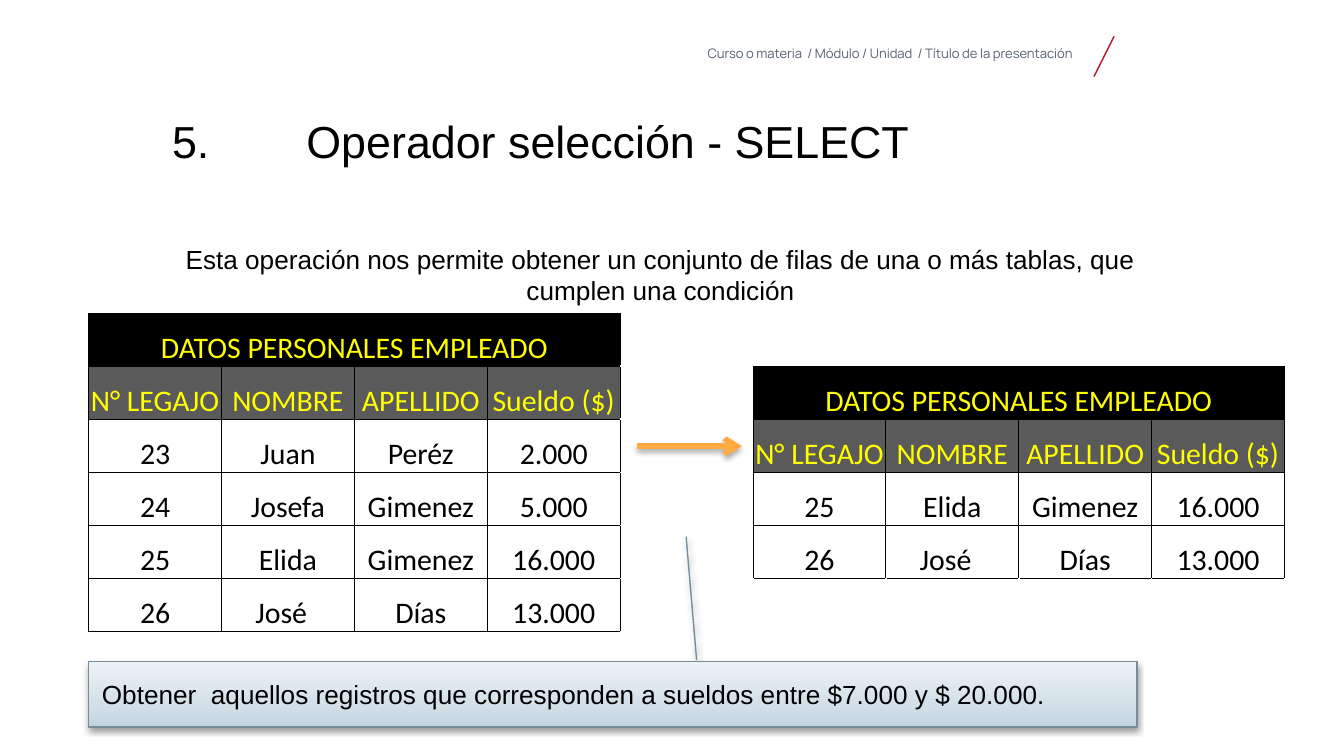
import pptx
import pptx.util
import pptx.dml.color
import pptx.oxml.ns
import pptx.enum.shapes
import pptx.enum.text
import lxml.etree

qn = pptx.oxml.ns.qn
sub = lxml.etree.SubElement
Pt = pptx.util.Pt
ALIGN = pptx.enum.text.PP_ALIGN
ANCHOR = pptx.enum.text.MSO_ANCHOR
LINE = pptx.enum.shapes.MSO_CONNECTOR.STRAIGHT


def rgb(value):
    return pptx.dml.color.RGBColor.from_string(value)


def write(tf, text, size=14, font="Arial", color="000000", align=ALIGN.LEFT, spacing=1.0,
          tab=None):
    p = tf.paragraphs[0]
    p.alignment = align
    p.line_spacing = spacing
    if tab:
        tabs = sub(p._p.get_or_add_pPr(), qn("a:tabLst"))
        sub(tabs, qn("a:tab"), pos=str(tab), algn="l")
    r = p.add_run()
    r.text = text
    r.font.size = Pt(size)
    r.font.name = font
    r.font.color.rgb = rgb(color)


prs = pptx.Presentation()
prs.slide_width = pptx.util.Inches(10)
prs.slide_height = prs.slide_width * 9 // 16
s = prs.slides.add_slide(prs.slide_layouts[6])

# Fine square grid: 1000 columns across the slide
col = row = prs.slide_width // 1000

# Header, title and introduction
texts = [
    ((495, 35, 305, 14), "Curso o materia  / Módulo / Unidad  / Título de la presentación ",
     dict(size=7, font="Manrope", color="556271", align=ALIGN.RIGHT, spacing=0.9)),
    ((128, 89, 722, 83), "5.\tOperador selección - SELECT",
     dict(size=24, spacing=0.9, tab=100 * col)),
    ((128, 181, 727, 355), "Esta operación nos permite obtener un conjunto de filas de una "
     "o más tablas, que cumplen una condición", dict(align=ALIGN.CENTER)),
]
for (x, y, w, h), text, style in texts:
    tf = s.shapes.add_textbox(x * col, y * row, w * col, h * row).text_frame
    tf.word_wrap = True
    tf.margin_left = tf.margin_right = tf.margin_top = tf.margin_bottom = 0
    write(tf, text, **style)

# Source table on the left and selected rows on the right, in one grid
heading = ["DATOS PERSONALES EMPLEADO", "", "", ""]
fields = ["N° LEGAJO", "NOMBRE", "APELLIDO", "Sueldo ($)"]
employees = [
    ["23", "Juan", "Peréz", "2.000"],
    ["24", "Josefa", "Gimenez", "5.000"],
    ["25", "Elida", "Gimenez", "16.000"],
    ["26", "José  ", "Días", "13.000"],
]
blocks = [(0, 0, [heading, fields] + employees),
          (1, 5, [heading, fields] + employees[2:])]
frame = s.shapes.add_table(6, 9, 66 * col, 233 * row, 890 * col, 237 * row)
table = frame.table
table.first_row = table.horz_banding = False
for c in table.columns:
    c.width = 890 * col // 9
for r in table.rows:
    r.height = 237 * row // 6

# Text and fill colour of every filled position
content = {}
for top, left, lines in blocks:
    table.cell(top, left).merge(table.cell(top, left + 3))
    for i, values in enumerate(lines):
        fill = ["000000", "5A5A5A"][i] if i < 2 else "FFFFFF"
        for j, value in enumerate(values):
            content[top + i, left + j] = value, fill

sides = {"L": (0, -1), "R": (0, 1), "T": (-1, 0), "B": (1, 0)}
for i in range(6):
    for j in range(9):
        cell = table.cell(i, j)
        value, fill = content.get((i, j), ("", "FFFFFF"))
        cell.vertical_anchor = ANCHOR.BOTTOM
        cell.margin_left = cell.margin_right = cell.margin_top = col
        cell.margin_bottom = 0
        if value:
            write(cell.text_frame, value, size=16, font="Calibri", align=ALIGN.CENTER,
                  color="000000" if fill == "FFFFFF" else "FFFF00")
        # An edge is ruled when a filled position lies on either side of it
        for side, (di, dj) in sides.items():
            if (i, j) in content or (i + di, j + dj) in content:
                ln = sub(cell._tc.get_or_add_tcPr(), qn("a:ln" + side), w=str(Pt(0.5)))
                sub(sub(ln, qn("a:solidFill")), qn("a:srgbClr"), val="000000")
        cell.fill.solid()
        cell.fill.fore_color.rgb = rgb(fill)

# Header slash and arrow between the tables
connectors = []
for x1, y1, x2, y2, color, width in [(829, 27, 814, 57, "BC182C", 0.75),
                                     (474, 332, 552, 332, "FFAB40", 3)]:
    sp = s.shapes.add_connector(LINE, x1 * col, y1 * row, x2 * col, y2 * row)
    sp.line.color.rgb = rgb(color)
    sp.line.width = Pt(width)
    connectors.append(sp)
slash, arrow = connectors
sub(arrow.line._get_or_add_ln(), qn("a:tailEnd"), type="arrow")
sub(slash._element.spPr, qn("a:effectLst"))

# Callout with the selection condition
callout = s.shapes.add_shape(pptx.enum.shapes.MSO_SHAPE.LINE_CALLOUT_1,
                             66 * col, 492 * row, 780 * col, 49 * row)
for i, value in enumerate([-0.02, 0.58, -1.89, 0.57]):
    callout.adjustments[i] = value
callout.fill.gradient()
callout.fill.gradient_angle = 90
stops = callout.fill._fill._gradFill.find(qn("a:gsLst"))
for stop in list(stops):
    stops.remove(stop)
for pos, color in [(0, "C0D4E0"), (35, "D3E0E8"), (100, "EEF3F7")]:
    sub(sub(stops, qn("a:gs"), pos=str(pos * 1000)), qn("a:srgbClr"), val=color)
callout.line.color.rgb = rgb("748D99")
callout.line.width = Pt(0.75)
callout.text_frame.word_wrap = True
callout.text_frame.vertical_anchor = ANCHOR.MIDDLE
write(callout.text_frame,
      "Obtener  aquellos registros que corresponden a sueldos entre $7.000 y $ 20.000.")

# Soft shadows straight below the arrow and the callout
for sp, alpha, dist in [(arrow, 35, 1.8), (callout, 38, 1.6)]:
    effects = sub(sp._element.spPr, qn("a:effectLst"))
    shadow = sub(effects, qn("a:outerShdw"), blurRad=str(Pt(3.1)), dist=str(Pt(dist)),
                 dir=str(90 * 60000), rotWithShape="0")
    sub(sub(shadow, qn("a:srgbClr"), val="000000"), qn("a:alpha"), val=str(alpha * 1000))

prs.save("out.pptx")
